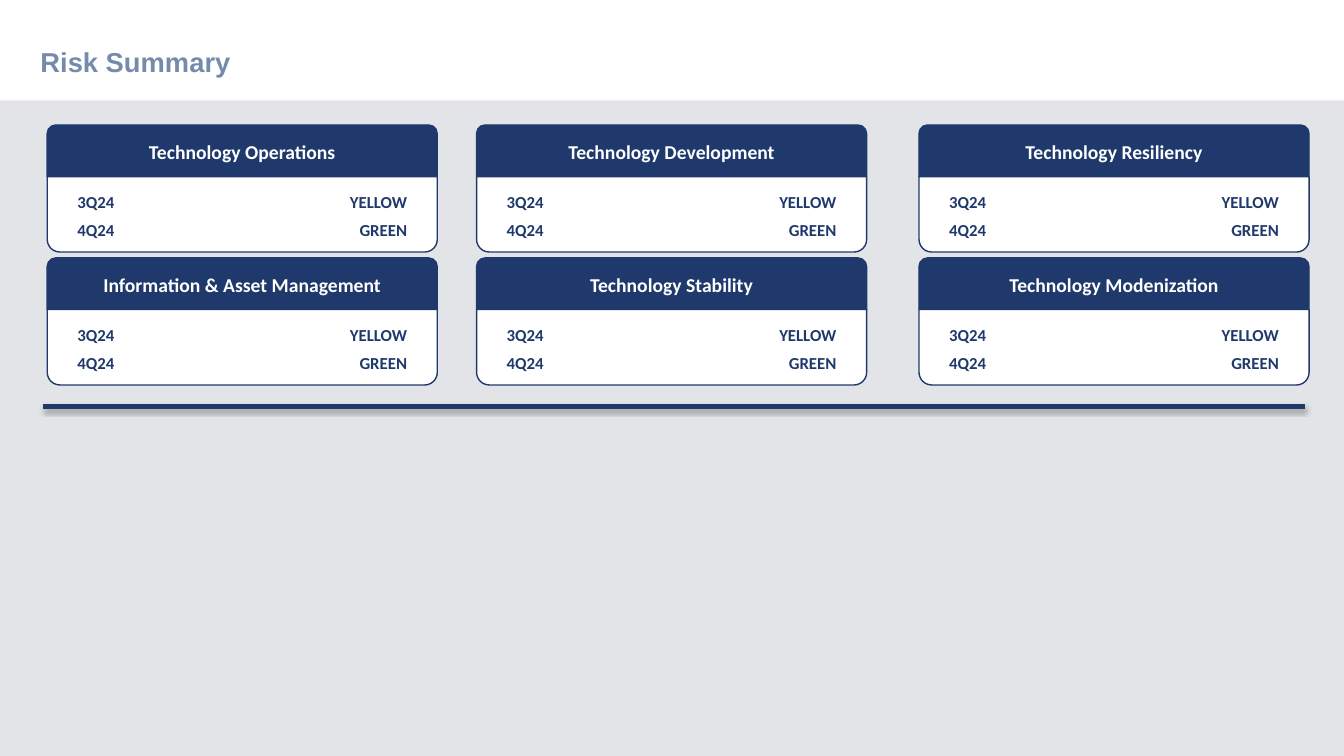
from dataclasses import dataclass
from itertools import product

from lxml import etree
from pptx import Presentation
from pptx import util as u
from pptx.dml import color
from pptx.enum import shapes, text
from pptx.oxml import ns


@dataclass(frozen=True)
class Theme:
    """Colours, type sizes and fonts of the slide."""
    navy: str = "1F396C"
    slate: str = "748BAB"
    grey: str = "E3E4E7"
    white: str = "FFFFFF"
    title_size: float = 19.5
    heading_size: float = 14
    rating_size: float = 12
    title_font: str = "Arial"
    card_font: str = "Calibri"


THEME = Theme()
COLUMN_LEFTS = (1.19, 12.01, 23.16)
FIRST_ROW_TOP, ROW_PITCH = 3.15, 3.38 - 0.03
CARD_WIDTH, HEADER_HEIGHT, BODY_HEIGHT = 9.83, 1.3, 1.9
TEXT_DROP, SIDE_MARGIN, QUARTER_WIDTH = 0.25, 0.51, 2.54
TOPICS = (
    "Technology Operations", "Technology Development", "Technology Resiliency",
    "Information & Asset Management", "Technology Stability", "Technology Modenization",
)
RATINGS = (("3Q24", "YELLOW"), ("4Q24", "GREEN"))


def rgb(value):
    """Return a colour from its hex value."""
    return color.RGBColor.from_string(value)


def add_soft_shadow(element):
    """Give a shape or connector a faint shadow below it."""
    properties = element._element.spPr
    for old in properties.findall(ns.qn("a:effectLst")):
        properties.remove(old)
    effects = etree.SubElement(properties, ns.qn("a:effectLst"))
    shadow = etree.SubElement(
        effects, ns.qn("a:outerShdw"), blurRad=str(u.Pt(3.1)), dist=str(u.Pt(1.8)),
        dir="5400000", rotWithShape="0")
    black = etree.SubElement(shadow, ns.qn("a:srgbClr"), val="000000")
    etree.SubElement(black, ns.qn("a:alpha"), val="35000")


def add_block(slide, kind, box, fill, outline, weight=1):
    """Add a filled and outlined preset shape."""
    block = slide.shapes.add_shape(kind, *map(u.Cm, box))
    block.shadow.inherit = False
    block.fill.solid()
    block.fill.fore_color.rgb = rgb(fill)
    block.line.color.rgb = rgb(outline)
    block.line.width = u.Pt(weight)
    return block


def add_label(slide, box, wording, size, ink, font=THEME.card_font,
              align=text.PP_ALIGN.LEFT):
    """Add bold text, one paragraph for each line of the wording."""
    label = slide.shapes.add_textbox(*map(u.Cm, box))
    frame = label.text_frame
    frame.word_wrap = True
    frame.text = wording
    for index, paragraph in enumerate(frame.paragraphs):
        paragraph.alignment = align
        if index:
            paragraph.space_before = u.Pt(6)
        for run in paragraph.runs:
            run.font.size = u.Pt(size)
            run.font.name = font
            run.font.bold = True
            run.font.color.rgb = rgb(ink)
    return frame


def add_title(slide, wording):
    """Add the slide title without inner margins."""
    frame = add_label(slide, (1.02, 1.14, 17.2, 0.91), wording,
                      THEME.title_size, THEME.slate, THEME.title_font)
    frame.margin_left = frame.margin_right = frame.margin_top = frame.margin_bottom = 0


def add_divider(slide):
    """Add the thick rule below the cards."""
    divider = slide.shapes.add_connector(
        shapes.MSO_CONNECTOR.STRAIGHT, *map(u.Cm, (1.09, 10.24, 32.89, 10.24)))
    divider.line.color.rgb = rgb(THEME.navy)
    divider.line.width = u.Pt(4)
    add_soft_shadow(divider)


def add_card(slide, left, top, topic):
    """Add one risk card with its heading and quarterly ratings."""
    rounded = shapes.MSO_SHAPE.ROUND_2_SAME_RECTANGLE
    body_top = top + HEADER_HEIGHT
    add_block(slide, rounded, (left, top, CARD_WIDTH, HEADER_HEIGHT), THEME.navy, THEME.navy)
    body = add_block(slide, rounded, (left, body_top, CARD_WIDTH, BODY_HEIGHT),
                     THEME.white, THEME.navy)
    body.rotation = 180
    add_label(slide, (left, top + TEXT_DROP, CARD_WIDTH, HEADER_HEIGHT), topic,
              THEME.heading_size, THEME.white, align=text.PP_ALIGN.CENTER)

    quarters, statuses = ("\n".join(column) for column in zip(*RATINGS))
    text_left, text_top = left + SIDE_MARGIN, body_top + TEXT_DROP
    text_height = BODY_HEIGHT - 2 * TEXT_DROP
    status_width = CARD_WIDTH - 2 * SIDE_MARGIN - QUARTER_WIDTH
    add_label(slide, (text_left, text_top, QUARTER_WIDTH, text_height), quarters,
              THEME.rating_size, THEME.navy)
    add_label(slide, (text_left + QUARTER_WIDTH, text_top, status_width, text_height),
              statuses, THEME.rating_size, THEME.navy, align=text.PP_ALIGN.RIGHT)


def main():
    """Build and save the risk summary slide."""
    deck = Presentation()
    deck.slide_width, deck.slide_height = u.Cm(33.87), u.Cm(19.05)
    slide = deck.slides.add_slide(deck.slide_layouts[6])
    add_title(slide, "Risk Summary")
    panel = add_block(slide, shapes.MSO_SHAPE.RECTANGLE, (0, 2.57, 33.87, 16.48),
                      THEME.grey, THEME.grey, 0.75)
    add_soft_shadow(panel)
    add_divider(slide)
    row_tops = (FIRST_ROW_TOP, FIRST_ROW_TOP + ROW_PITCH)
    for (top, left), topic in zip(product(row_tops, COLUMN_LEFTS), TOPICS):
        add_card(slide, left, top, topic)
    deck.save("out.pptx")


if __name__ == "__main__":
    main()
